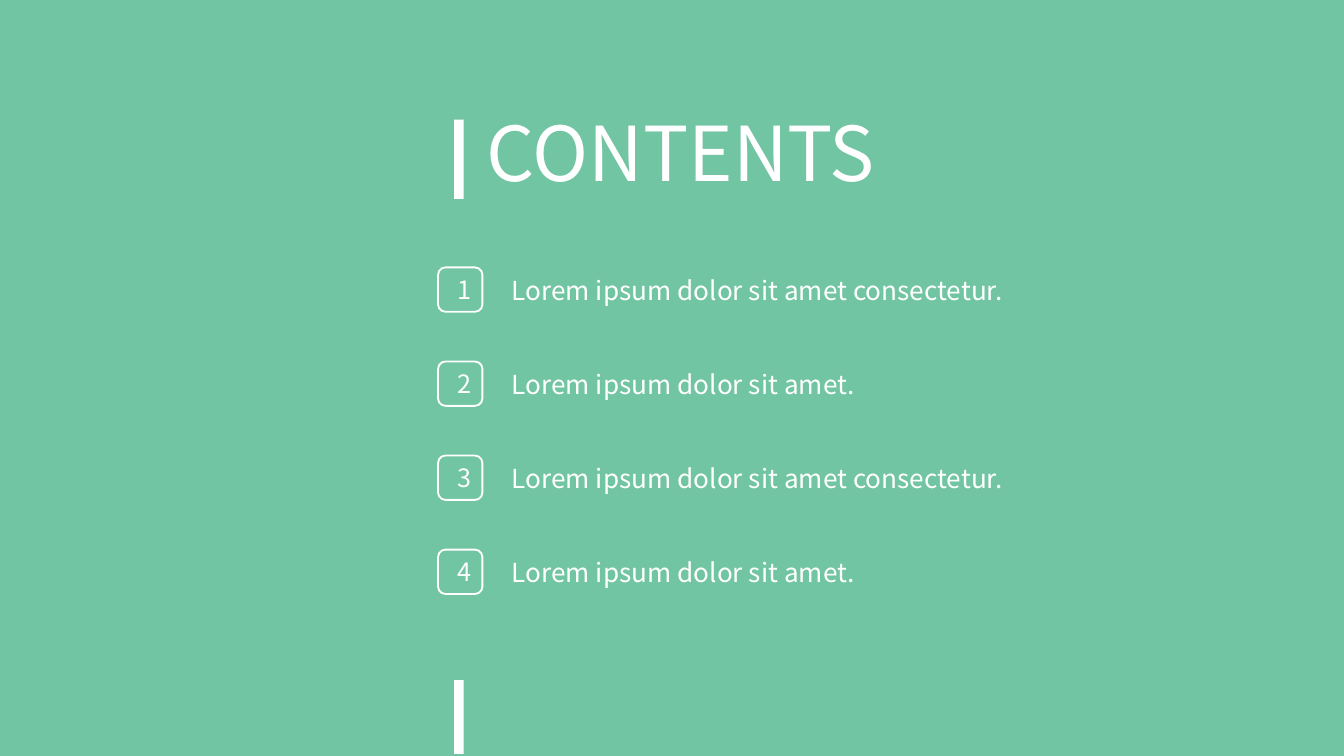
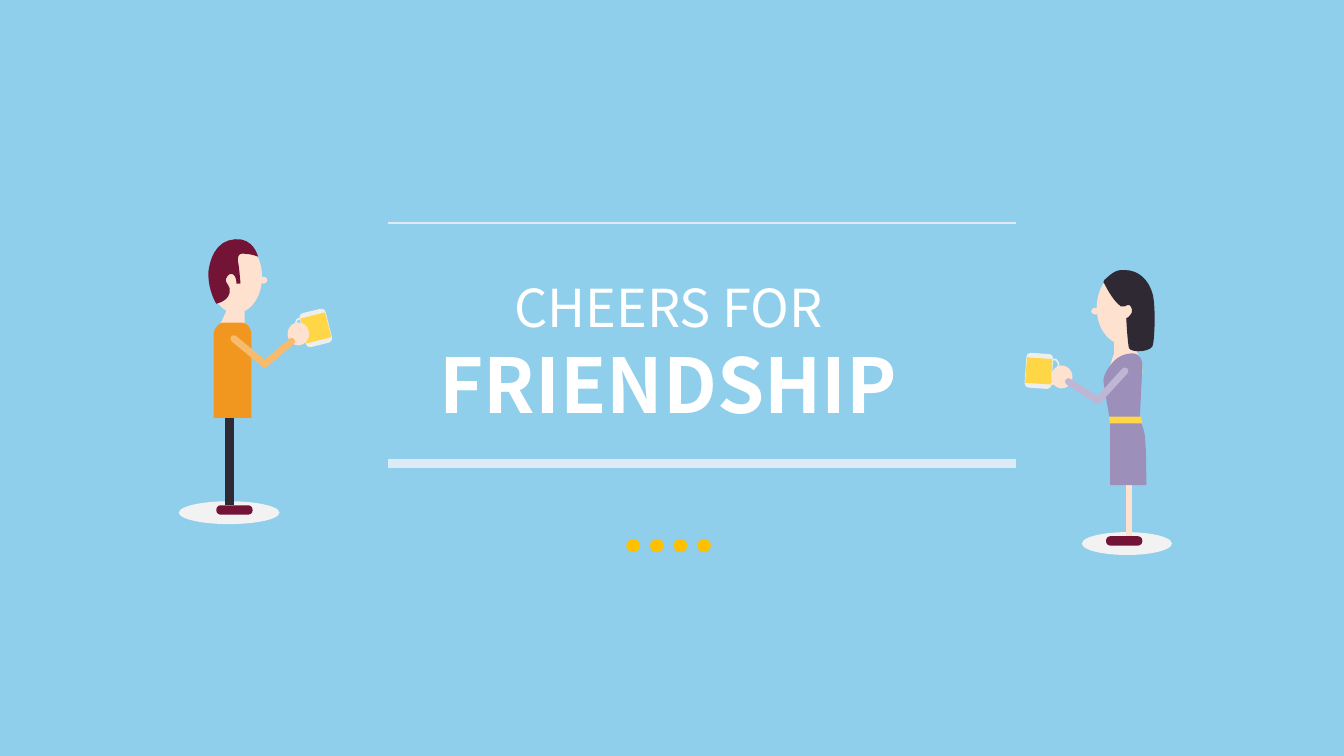
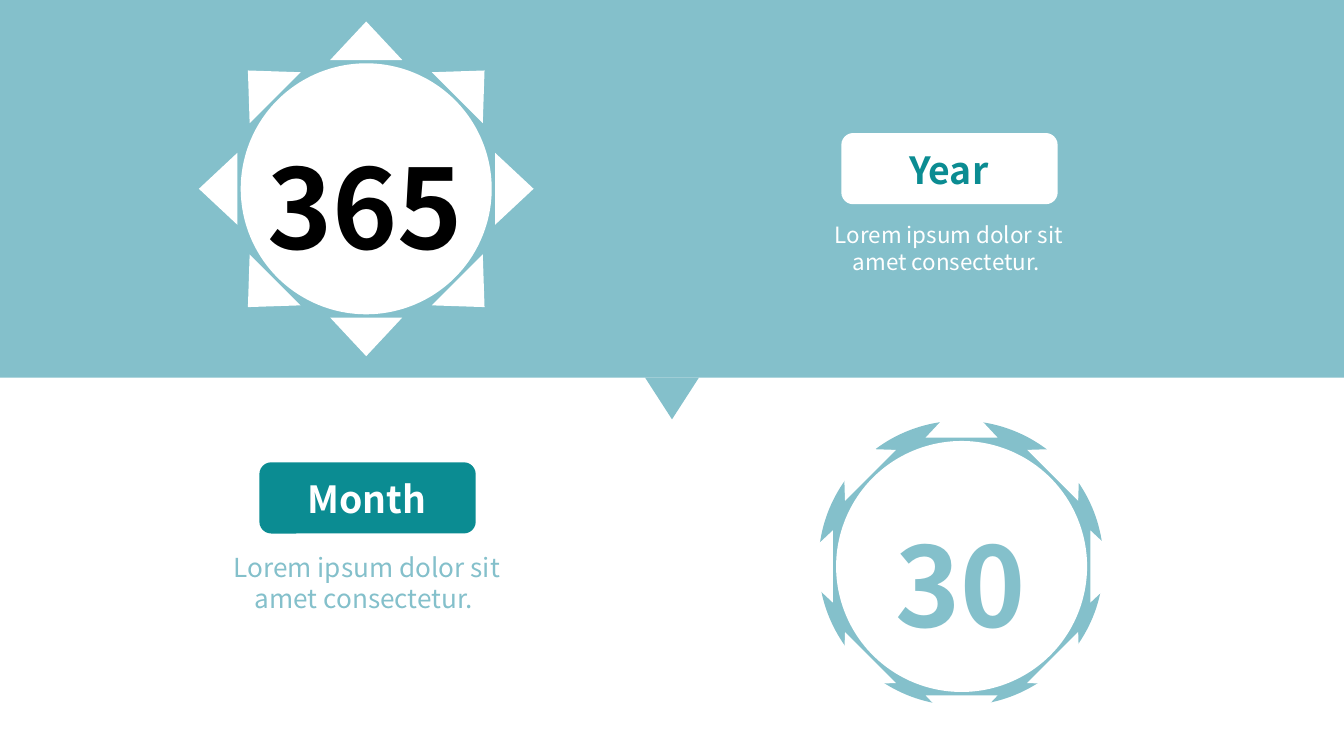
from dataclasses import dataclass

from pptx import Presentation
from pptx.dml.color import RGBColor
from pptx.enum import shapes, text
from pptx.oxml import ns, xmlchemy
from pptx.util import Inches, Pt

FONT = "Noto Sans CJK SC"
WHITE = RGBColor(0xFF, 0xFF, 0xFF)
BLACK = RGBColor(0x00, 0x00, 0x00)
GREEN = RGBColor(0x71, 0xC5, 0xA3)
SKY = RGBColor(0x8F, 0xCF, 0xEB)
MIST = RGBColor(0x84, 0xC0, 0xCB)
TEAL = RGBColor(0x0B, 0x8C, 0x92)
RULE = RGBColor(0xDE, 0xEB, 0xF7)
AMBER = RGBColor(0xFF, 0xC0, 0x00)
STAND = RGBColor(0xF2, 0xF2, 0xF2)
GLASS = RGBColor(0xEE, 0xEE, 0xEF)
YELLOW = RGBColor(0xFF, 0xD6, 0x46)
SKIN = RGBColor(0xFF, 0xE1, 0xD0)
MAROON = RGBColor(0x73, 0x14, 0x36)
INK = RGBColor(0x2F, 0x29, 0x33)
ORANGE = RGBColor(0xF1, 0x97, 0x20)
PEACH = RGBColor(0xF6, 0xBB, 0x6C)
PURPLE = RGBColor(0x9C, 0x90, 0xBB)
LILAC = RGBColor(0xBE, 0xB6, 0xD2)

SHAPE = shapes.MSO_SHAPE
ALIGN = text.PP_ALIGN
ANCHOR = text.MSO_ANCHOR
TITLE_ONLY, BLANK = 5, 6


def new_slide(deck, layout, background):
    slide = deck.slides.add_slide(deck.slide_layouts[layout])
    slide.background.fill.solid()
    slide.background.fill.fore_color.rgb = background
    return slide


def paint(shape, fill=None, line=None, width=1):
    shape.shadow.inherit = False
    if fill is None:
        shape.fill.background()
    else:
        shape.fill.solid()
        shape.fill.fore_color.rgb = fill
    if line is None:
        shape.line.fill.background()
    else:
        shape.line.color.rgb = line
        shape.line.width = Pt(width)
    return shape


def add_block(parent, kind, left, top, width, height, fill=None, line=None):
    shape = parent.add_shape(
        kind, Inches(left), Inches(top), Inches(width), Inches(height))
    return paint(shape, fill, line)


def add_rule(parent, start, end, color, width):
    rule = parent.add_connector(
        shapes.MSO_CONNECTOR.STRAIGHT, *map(Inches, start + end))
    rule.line.color.rgb = color
    rule.line.width = Pt(width)
    rule.element.spPr.append(xmlchemy.OxmlElement("a:effectLst"))


def write(frame, runs, align=ALIGN.LEFT, anchor=ANCHOR.TOP, wrap=True):
    """Fill a text frame; each run is (words, size, colour, bold)."""
    frame.auto_size = text.MSO_AUTO_SIZE.NONE
    frame.word_wrap = wrap
    frame.vertical_anchor = anchor
    paragraph = frame.paragraphs[0]
    paragraph.alignment = align
    for words, size, color, bold in runs:
        run = paragraph.add_run()
        run.text = words
        run.font.name = FONT
        run.font.size = Pt(size)
        run.font.color.rgb = color
        run.font.bold = bold


def add_label(parent, left, top, width, height, runs, **style):
    label = parent.add_textbox(
        Inches(left), Inches(top), Inches(width), Inches(height))
    write(label.text_frame, runs, **style)


def set_title(slide, left, top, width, height, runs, **style):
    title = slide.shapes.title
    title.left, title.top = Inches(left), Inches(top)
    title.width, title.height = Inches(width), Inches(height)
    write(title.text_frame, runs, **style)


def flatten(path, steps=8):
    """Turn a path of points and cubic curves (six numbers) into points."""
    points = [path[0]]
    for segment in path[1:]:
        if len(segment) == 2:
            points.append(segment)
            continue
        nodes = [points[-1], segment[:2], segment[2:4], segment[4:]]
        for step in range(1, steps + 1):
            t = step / steps
            weights = ((1 - t) ** 3, 3 * t * (1 - t) ** 2,
                       3 * t ** 2 * (1 - t), t ** 3)
            points.append(tuple(
                sum(w * node[axis] for w, node in zip(weights, nodes))
                for axis in (0, 1)))
    return points


@dataclass
class Look:
    """What differs between people, measured from their back and top."""
    hair: tuple
    clothes: tuple
    leg: tuple
    arm: tuple
    stand: tuple
    hand: tuple
    mug: tuple
    tilt: float
    handle: list


MAN = Look(
    hair=(MAROON, [
        (.49, .36), (.46, .36), (.46, .36, .46, .3, .43, .29),
        (.4, .28, .38, .32, .38, .34), (.39, .36, .41, .39, .41, .4),
        (.42, .49, .31, .51, .31, .51), (.31, .51, .25, .42, .25, .28),
        (.26, .19, .3, .04, .45, .03), (.59, .02, .62, .16, .62, .16),
        (.62, .16, .57, .14, .53, .14), (.48, .13, .47, .15, .47, .19),
        (.48, .23, .49, .36, .49, .36)]),
    clothes=((ORANGE, [
        (.57, 1.36), (.57, .74), (.57, .69, .54, .65, .49, .65), (.37, .65),
        (.33, .65, .29, .69, .29, .74), (.29, 1.36)]),),
    leg=(INK, 4.63),
    arm=(PEACH, [(.44, .77), (.67, .96), (.87, .79)]),
    stand=(.03, .75),
    hand=(.84, .65),
    mug=(1.05, .69),
    tilt=-14,
    handle=[
        (.95, .62), (.94, .62, .92, .62, .91, .63),
        (.9, .65, .9, .66, .9, .68), (.91, .7, .91, .73, .92, .75),
        (.92, .77, .93, .79, .95, .79), (.96, .8, .98, .79, .99, .79)])

WOMAN = Look(
    hair=(INK, [
        (.23, .22), (.26, .1, .34, .03, .44, .03),
        (.52, .02, .56, .08, .59, .1), (.6, .12),
        (.59, .13, .54, .25, .47, .3), (.44, .3),
        (.44, .3, .43, .29, .41, .29), (.4, .29, .38, .32, .39, .35),
        (.41, .38, .43, .39, .43, .39), (.43, .39, .42, .57, .41, .61),
        (.39, .65, .23, .64, .23, .58), (.22, .53, .21, .33, .23, .22)]),
    clothes=(
        (PURPLE, [
            (.55, 1.15), (.55, 1.15, .59, .94, .6, .85),
            (.6, .81, .54, .7, .47, .67), (.45, .66, .42, .65, .38, .65),
            (.34, .65, .31, .69, .31, .74), (.33, 1.15)]),
        (PURPLE, [
            (.55, 1.14), (.33, 1.14), (.33, 1.14, .29, 1.22, .29, 1.28),
            (.28, 1.34, .28, 1.63, .28, 1.63), (.55, 1.63)]),
        (YELLOW, [(.31, 1.17), (.55, 1.17), (.56, 1.12), (.32, 1.12)])),
    leg=(SKIN, 3.5),
    arm=(LILAC, [(.44, .78), (.64, 1), (.86, .86)]),
    stand=(.09, .67),
    hand=(.83, .74),
    mug=(1.08, .78),
    tilt=-4,
    handle=[
        (.99, .7), (.97, .7, .96, .69, .95, .7),
        (.93, .72, .93, .74, .94, .76), (.94, .82),
        (.94, .84, .95, .86, .96, .87), (.97, .88, .99, .88, 1.01, .87)])

NECK = [(.4, .53), (.52, .53), (.52, .65), (.57, .8), (.31, .8), (.31, .73)]


def draw_person(slide, back, top, facing, look):
    """Draw a person from the back edge; facing is 1 for right, -1 for left."""
    group = slide.shapes.add_group_shape().shapes

    def place(point):
        return back + facing * point[0], top + point[1]

    def part(kind, u, v, width, height, fill):
        x, y = place((u + width / 2, v + height / 2))
        return add_block(group, kind, x - width / 2, y - height / 2,
                         width, height, fill)

    def outline(path, closed):
        points = [tuple(map(Inches, place(p))) for p in flatten(path)]
        builder = group.build_freeform(*points[0])
        builder.add_line_segments(points[1:], close=closed)
        return builder.convert_to_shape()

    def patch(color, path):
        paint(outline(path, True), color)

    def stroke(color, path, width):
        limb = paint(outline(path, False), None, color, width)
        limb.element.spPr.find(ns.qn("a:ln")).set("cap", "rnd")

    def mug_part(kind, width, height, fill):
        u, v = look.mug
        piece = part(kind, u - width / 2, v - height / 2, width, height, fill)
        piece.rotation = facing * look.tilt

    stand_back, stand_width = look.stand
    part(SHAPE.OVAL, stand_back, 1.98, stand_width, .17, STAND)
    stroke(GLASS, look.handle, .88)
    mug_part(SHAPE.ROUNDED_RECTANGLE, .2, .26, GLASS)
    mug_part(SHAPE.RECTANGLE, .19, .19, YELLOW)
    patch(SKIN, NECK)
    part(SHAPE.OVAL, .26, .04, .39, .54, SKIN)
    part(SHAPE.OVAL, .63, .31, .06, .05, SKIN)
    patch(*look.hair)
    add_rule(group, place((.41, 1.26)), place((.41, 2.01)), *look.leg)
    shoe = part(SHAPE.ROUNDED_RECTANGLE, .31, 2.01, .27, .07, MAROON)
    shoe.adjustments[0] = .45
    for garment in look.clothes:
        patch(*garment)
    part(SHAPE.OVAL, *look.hand, .16, .17, SKIN)
    sleeve, arm = look.arm
    stroke(sleeve, arm, 3.75)


def draw_entry(slide, left, top, number, words):
    badge = add_block(slide.shapes, SHAPE.ROUNDED_RECTANGLE,
                      left, top, .33, .33, line=WHITE)
    frame = badge.text_frame
    frame.margin_left = Inches(.06)
    frame.margin_right = frame.margin_top = frame.margin_bottom = 0
    write(frame, [(str(number), 13.5, WHITE, False)],
          align=ALIGN.CENTER, anchor=ANCHOR.MIDDLE)
    add_label(slide.shapes, left + .45, top, 4.16, .34,
              [(words, 14, WHITE, False)])


def contents_slide(deck):
    slide = new_slide(deck, TITLE_ONLY, GREEN)
    set_title(slide, 3.52, .74, 3.25, .78,
              [("CONTENTS", 40.5, WHITE, False)], wrap=False)
    for top, height in ((.89, .59), (5.06, .55)):
        add_block(slide.shapes, SHAPE.RECTANGLE, 3.38, top, .07, height, WHITE)
    entries = ["Lorem ipsum dolor sit amet consectetur. ",
               "Lorem ipsum dolor sit amet.",
               "Lorem ipsum dolor sit amet consectetur.",
               "Lorem ipsum dolor sit amet."]
    for row, words in enumerate(entries):
        draw_entry(slide, 3.26, 1.99 + .7 * row, row + 1, words)


def cheers_slide(deck):
    slide = new_slide(deck, TITLE_ONLY, SKY)
    draw_person(slide, 1.3, 1.75, 1, MAN)
    draw_person(slide, 8.81, 1.98, -1, WOMAN)
    set_title(slide, 3.07, 2, 3.81, 1.25,
              [("CHEERS FOR ", 28, WHITE, False),
               ("FRIENDSHIP", 40.5, WHITE, True)], align=ALIGN.CENTER)
    for y, width in ((3.45, 4.5), (1.66, 1)):
        add_rule(slide.shapes, (2.89, y), (7.56, y), RULE, width)
    dots = slide.shapes.add_group_shape().shapes
    for column in range(4):
        add_block(dots, SHAPE.OVAL, 4.66 + .53 * column / 3, 4.01,
                  .1, .1, AMBER)


def draw_sun(slide, left, top, number, color):
    sun = add_block(slide.shapes, SHAPE.SUN, left, top, 2.49, 2.49, WHITE)
    sun.adjustments[0] = .125
    add_label(slide.shapes, left + .09, top + .88, 2.3, .98,
              [(number, 59.2, color, True)],
              align=ALIGN.CENTER, anchor=ANCHOR.MIDDLE)


def draw_period(slide, left, top, name, fill, name_color, caption_color, size):
    add_block(slide.shapes, SHAPE.ROUNDED_RECTANGLE,
              left, top, 1.61, .53, fill)
    add_label(slide.shapes, left - .35, top - .22, 2.3, .98,
              [(name, 20, name_color, True)],
              align=ALIGN.CENTER, anchor=ANCHOR.MIDDLE)
    add_label(slide.shapes, left - .34, top + .61, 2.28, .77,
              [("Lorem ipsum dolor sit amet consectetur. ",
                size, caption_color, False)], align=ALIGN.CENTER)


def calendar_slide(deck):
    slide = new_slide(deck, BLANK, WHITE)
    add_block(slide.shapes, SHAPE.RECTANGLE, -.02, 0, 10.02, 2.81, MIST)
    add_block(slide.shapes, SHAPE.OVAL, 6.09, 3.13, 2.12, 2.12, MIST)
    draw_sun(slide, 5.91, 2.97, "30", MIST)
    draw_sun(slide, 1.48, .16, "365", BLACK)
    draw_period(slide, 1.93, 3.44, "Month", TEAL, WHITE, MIST, 14)
    draw_period(slide, 6.26, .99, "Year", WHITE, TEAL, WHITE, 12)
    pointer = add_block(slide.shapes, SHAPE.ISOSCELES_TRIANGLE,
                        4.8, 2.81, .4, .31, MIST)
    pointer.rotation = 180


def main():
    deck = Presentation()
    deck.slide_width, deck.slide_height = Inches(10), Pt(405)
    contents_slide(deck)
    cheers_slide(deck)
    calendar_slide(deck)
    deck.save("out.pptx")


if __name__ == "__main__":
    main()
